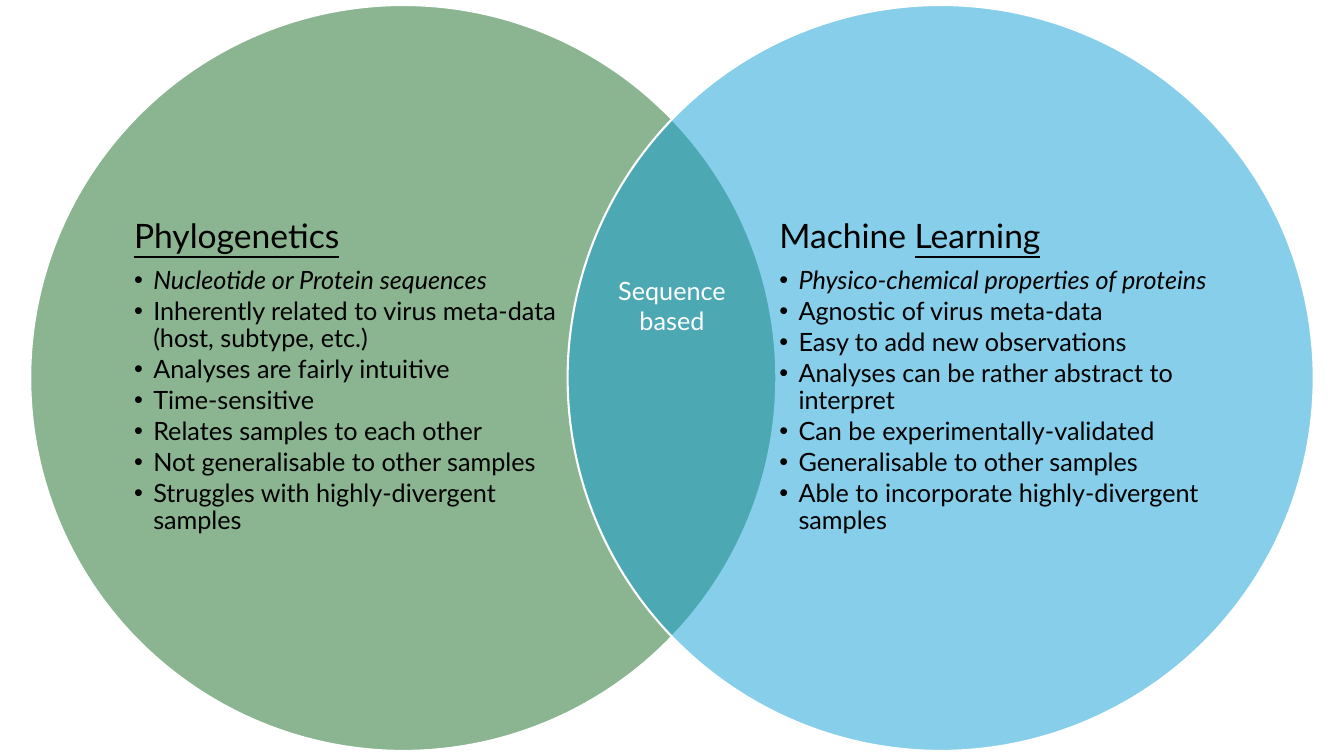
"""Build a Venn slide that compares phylogenetics with machine learning."""
from dataclasses import dataclass

from lxml.etree import SubElement
from pptx import Presentation
from pptx.dml.color import RGBColor
from pptx.enum.shapes import MSO_SHAPE
from pptx.enum.text import MSO_ANCHOR, MSO_AUTO_SIZE, PP_ALIGN
from pptx.oxml.ns import qn
from pptx.shapes.base import BaseShape
from pptx.slide import Slide
from pptx.util import Inches, Pt

OVAL = MSO_SHAPE.OVAL
MIDDLE = MSO_ANCHOR.MIDDLE
NO_FIT, GROW = MSO_AUTO_SIZE.NONE, MSO_AUTO_SIZE.SHAPE_TO_FIT_TEXT
LEFT, CENTER = PP_ALIGN.LEFT, PP_ALIGN.CENTER

GREEN = RGBColor(0x19, 0x6B, 0x24)
BLUE = RGBColor(0x0F, 0x9E, 0xD5)
BLACK = RGBColor(0, 0, 0)
WHITE = RGBColor(0xFF, 0xFF, 0xFF)

FACE = "Lato"
HEAD_SIZE, ITEM_SIZE = 24, 18
HANG = Inches(0.19)
HEAD = {"level": 0, "alignment": LEFT, "line_spacing": 0.9,
        "space_before": Pt(0), "space_after": Pt(0.35 * HEAD_SIZE)}
ITEM = HEAD | {"level": 1, "space_after": Pt(0.15 * ITEM_SIZE)}
LIST = {"margin_left": 0, "margin_right": 0, "margin_top": 0,
        "margin_bottom": 0, "vertical_anchor": MIDDLE,
        "word_wrap": True, "auto_size": NO_FIT}


@dataclass(frozen=True)
class Side:
    """One circle of the diagram with its heading and list."""
    color: RGBColor
    oval_x: float
    text_x: float
    plain: str
    lined: str
    items: tuple[str, ...]


SIDES = (
    Side(GREEN, 0.3, 1.33, "", "Phylogenetics", (
        "Nucleotide or Protein sequences",
        "Inherently related to virus meta-data (host, subtype, etc.)",
        "Analyses are fairly intuitive",
        "Time-sensitive",
        "Relates samples to each other",
        "Not generalisable to other samples",
        "Struggles with highly-divergent samples")),
    Side(BLUE, 5.63, 7.73, "Machine ", "Learning", (
        "Physico-chemical properties of proteins",
        "Agnostic of virus meta-data",
        "Easy to add new observations",
        "Analyses can be rather abstract to interpret",
        "Can be experimentally-validated",
        "Generalisable to other samples",
        "Able to incorporate highly-divergent samples")),
)


def style(target: object, values: dict) -> None:
    """Set each named attribute on the target."""
    for name, value in values.items():
        setattr(target, name, value)


def place(shape: BaseShape, *box: float) -> None:
    """Move and size a shape in inches."""
    style(shape, dict(zip(("left", "top", "width", "height"), map(Inches, box))))


def write(para, text: str, size: int, color: RGBColor, **marks: bool) -> None:
    """Add one formatted run to a paragraph."""
    run = para.add_run()
    run.text = text
    style(run.font, {"name": FACE, "size": Pt(size)} | marks)
    run.font.color.rgb = color


def indent(para, bullet: str = "") -> None:
    """Give a paragraph a hanging bullet, or none."""
    props = para._p.get_or_add_pPr()
    hang = HANG if bullet else 0
    props.set("marL", str(hang))
    props.set("indent", str(-hang))
    if bullet:
        SubElement(props, qn("a:buChar")).set("char", bullet)
    else:
        SubElement(props, qn("a:buNone"))


def circle(slide: Slide, side: Side) -> None:
    """Draw a half-transparent circle with a white rim."""
    oval = slide.shapes.add_shape(OVAL, 0, 0, 0, 0)
    place(oval, side.oval_x, 0.05, 7.4, 7.4)
    oval.shadow.inherit = False
    oval.fill.solid()
    oval.fill.fore_color.rgb = side.color
    oval.line.color.rgb = WHITE
    oval.line.width = Pt(1.5)
    tint = oval.element.spPr.find(qn("a:solidFill"))[0]
    SubElement(tint, qn("a:alpha")).set("val", "50000")


def fill_list(slide: Slide, body: BaseShape, side: Side) -> None:
    """Write the heading and bullets in a body placeholder on top."""
    slide.shapes.element.append(body.element)
    place(body, side.text_x, 0.92, 4.27, 5.65)
    frame = body.text_frame
    style(frame, LIST)
    head = frame.paragraphs[0]
    style(head, HEAD)
    indent(head)
    if side.plain:
        write(head, side.plain, HEAD_SIZE, BLACK)
    write(head, side.lined, HEAD_SIZE, BLACK, underline=True)
    for rank, text in enumerate(side.items):
        para = frame.add_paragraph()
        style(para, ITEM)
        indent(para, "•")
        write(para, text, ITEM_SIZE, BLACK, italic=rank == 0)


def label(slide: Slide) -> None:
    """Name what both circles share."""
    box = slide.shapes.add_textbox(0, 0, 0, 0)
    place(box, 5.73, 2.68, 1.87, 0.71)
    style(box.text_frame, {"word_wrap": True, "auto_size": GROW})
    para = box.text_frame.paragraphs[0]
    para.alignment = CENTER
    write(para, "Sequence based", ITEM_SIZE, WHITE)


def main() -> None:
    """Build and save the slide."""
    deck = Presentation()
    style(deck, {"slide_width": Inches(13.33), "slide_height": Inches(7.5)})
    slide = deck.slides.add_slide(deck.slide_layouts[3])
    title, *bodies = list(slide.placeholders)
    slide.shapes.element.remove(title.element)
    for side, body in zip(SIDES, bodies):
        circle(slide, side)
        fill_list(slide, body, side)
    label(slide)
    deck.save("out.pptx")


if __name__ == "__main__":
    main()
